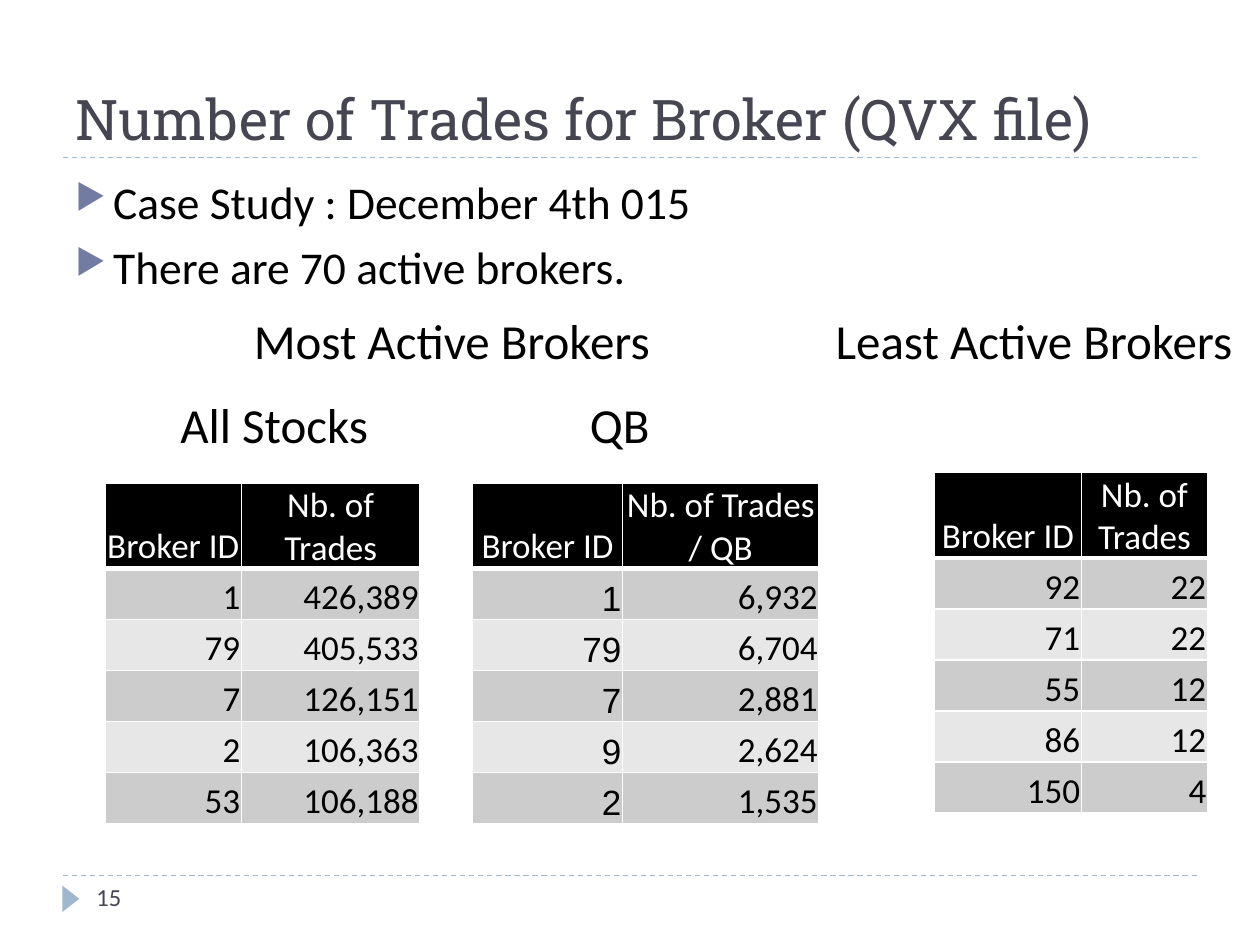
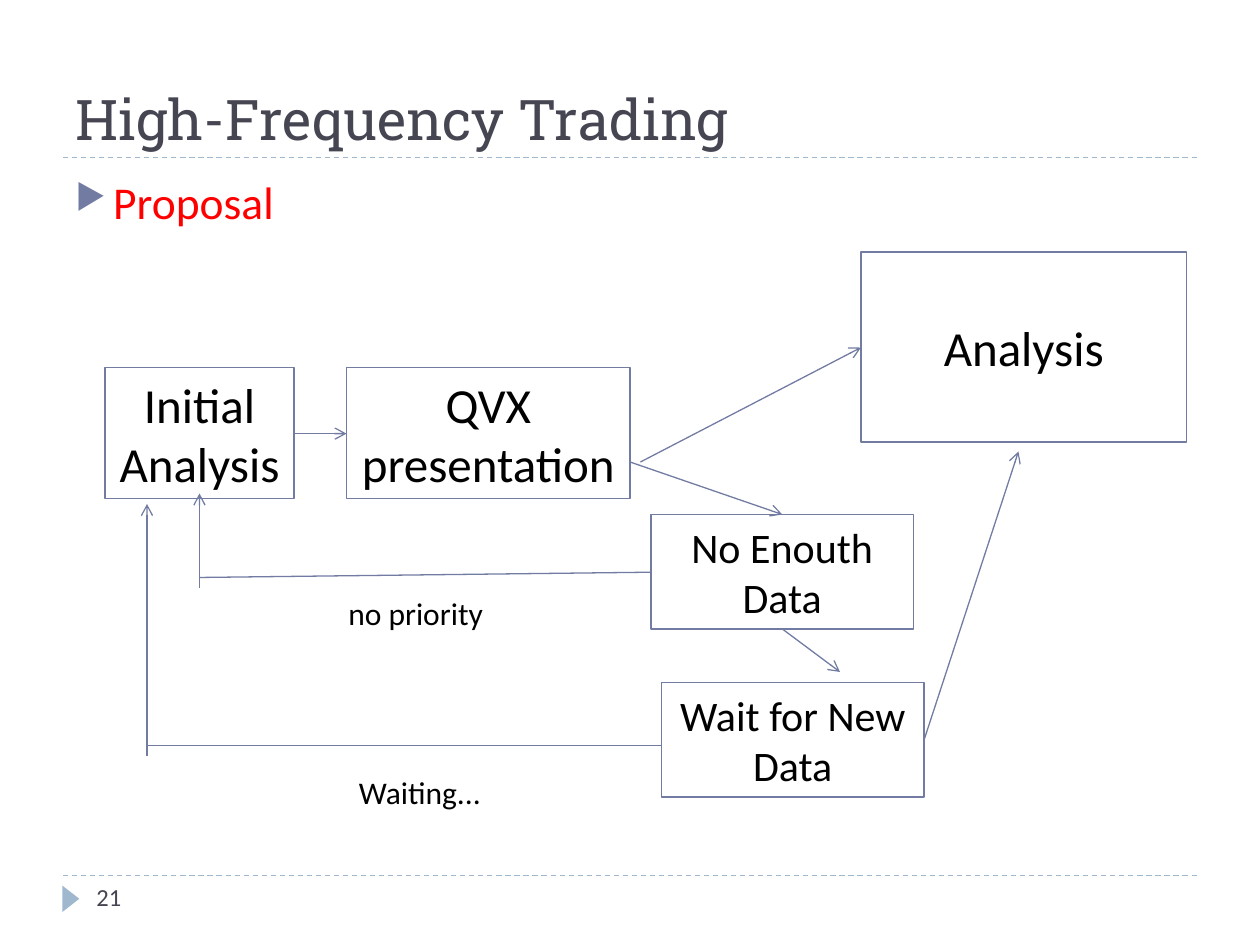
from dataclasses import dataclass
from pptx import Presentation
from pptx.dml.color import RGBColor
from pptx.enum.dml import MSO_LINE
from pptx.enum.shapes import MSO_CONNECTOR, MSO_SHAPE
from pptx.enum.text import MSO_ANCHOR, PP_ALIGN
from pptx.oxml import parse_xml
from pptx.oxml.ns import nsdecls, qn
from pptx.util import Inches, Pt

COLS, ROWS = 120, 90  # grid cells across and down a slide


@dataclass(frozen=True)
class Theme:
    """Colours, fonts and type sizes of the deck."""
    ink: str = "000000"
    paper: str = "FFFFFF"
    slate: str = "464653"
    rule: str = "9FB8CD"
    accent: str = "727CA3"
    alert: str = "FF0000"
    bands: tuple = ("CCCCCC", "E7E7E7")
    head: str = "Roboto Slab"
    body: str = "Calibri"
    plain: str = "Arial"
    title: int = 32
    label: int = 28
    bullet: int = 26
    step: int = 24
    cell: int = 20
    note: int = 18
    page: int = 14
    line: float = 0.75


def add_xml(parent, tag, inner="", **attrs):
    """Append one drawing element to a parent."""
    text = "".join(f' {key}="{val}"' for key, val in attrs.items())
    parent.append(parse_xml(f"<a:{tag} {nsdecls('a')}{text}>{inner}</a:{tag}>"))


class Deck:
    """Holds the style and the current slide."""

    def __init__(self, theme):
        """Start an empty deck."""
        self.theme = theme
        self.file = Presentation()
        self.file.slide_width, self.file.slide_height = Inches(10), Inches(7.5)
        self.slide = None

    def place(self, *cells):
        """Turn x, y, x, y ... grid cells into lengths."""
        units = self.file.slide_width / COLS, self.file.slide_height / ROWS
        return [round(val * units[i % 2]) for i, val in enumerate(cells)]

    def style(self, frame, size, color, font=None, align=PP_ALIGN.LEFT):
        """Format every run in a text frame."""
        for para in frame.paragraphs:
            para.alignment = align
            for run in para.runs:
                run.font.size, run.font.bold = Pt(size), False
                run.font.name = font or self.theme.body
                run.font.color.rgb = RGBColor.from_string(color)

    def page(self, title, number):
        """Add a slide with its title, rules and page mark."""
        look = self.theme
        self.slide = self.file.slides.add_slide(self.file.slide_layouts[6])
        for row in (83.4, 15):
            self.line((6, row), (114, row), look.rule, dash=True)
        mark = self.shape(MSO_SHAPE.ISOSCELES_TRIANGLE, (5.5, 84.8, 2.5, 1.6))
        mark.rotation = 90
        mark.fill.solid()
        mark.fill.fore_color.rgb = RGBColor.from_string(look.rule)
        mark.line.fill.background()
        self.text(title, (6, 2, 108, 13), look.title, look.slate, look.head,
                  MSO_ANCHOR.BOTTOM)
        self.text(number, (8, 83.4, 26, 4.8), look.page, look.slate)

    def text(self, words, area, size, color=None, font=None,
             anchor=MSO_ANCHOR.TOP):
        """Add a text box and return its frame."""
        frame = self.slide.shapes.add_textbox(*self.place(*area)).text_frame
        frame.word_wrap, frame.vertical_anchor = True, anchor
        frame.text = words
        self.style(frame, size, color or self.theme.ink, font)
        return frame

    def bullets(self, items, area, color=None):
        """Add a list with triangle bullets."""
        frame = self.text("\n".join(items), area, self.theme.bullet, color)
        for para in frame.paragraphs:
            para.space_before = Pt(6)
            props = para._p.get_or_add_pPr()
            props.set("marL", str(Inches(0.3)))
            props.set("indent", str(-Inches(0.3)))
            add_xml(props, "buClr", f'<a:srgbClr val="{self.theme.accent}"/>')
            add_xml(props, "buSzPct", val=76000)
            add_xml(props, "buChar", char="▶")

    def shape(self, kind, area):
        """Add a preset shape without shadow."""
        item = self.slide.shapes.add_shape(kind, *self.place(*area))
        item.shadow.inherit = False
        return item

    def box(self, words, area, size):
        """Add an outlined box with centred text."""
        item = self.shape(MSO_SHAPE.RECTANGLE, area)
        item.fill.background()
        item.line.color.rgb = RGBColor.from_string(self.theme.accent)
        item.line.width = Pt(self.theme.line)
        frame = item.text_frame
        frame.word_wrap, frame.vertical_anchor = True, MSO_ANCHOR.MIDDLE
        frame.text = words
        self.style(frame, size, self.theme.ink, align=PP_ALIGN.CENTER)

    def line(self, start, end, color=None, dash=False, arrow=False):
        """Add a straight line, dashed or with an arrowhead."""
        item = self.slide.shapes.add_connector(
            MSO_CONNECTOR.STRAIGHT, *self.place(*start, *end))
        item.line.color.rgb = RGBColor.from_string(color or self.theme.accent)
        item.line.width = Pt(self.theme.line)
        if dash:
            item.line.dash_style = MSO_LINE.DASH
        props = item._element.spPr
        if arrow:
            add_xml(props.find(qn("a:ln")), "tailEnd", type="arrow")
        add_xml(props, "effectLst")

    def table(self, spot, widths, heads, rows, font=None):
        """Add a banded table; font sets the first column's figures."""
        look, tall = self.theme, 32.4
        grid = self.slide.shapes.add_table(
            len(rows) + 1, len(widths),
            *self.place(*spot, sum(widths), tall)).table
        grid.horz_banding = False
        for col, width in zip(grid.columns, widths):
            col.width = self.place(width)[0]
        for i, row in enumerate([heads, *rows]):
            share = 0.25 if i == 0 else 0.75 / len(rows)
            grid.rows[i].height = self.place(0, tall * share)[1]
            for j, words in enumerate(row):
                cell = grid.cell(i, j)
                cell.text = words
                if i == 0:
                    self.style(cell.text_frame, look.cell, look.paper,
                               align=PP_ALIGN.CENTER)
                    self.finish(cell, look.ink, 3)
                else:
                    self.style(cell.text_frame, look.cell, look.ink,
                               font if j == 0 else None, PP_ALIGN.RIGHT)
                    self.finish(cell, look.bands[(i - 1) % 2], 1)

    def finish(self, cell, color, base):
        """Set a cell's margins, borders and fill."""
        cell.vertical_anchor = MSO_ANCHOR.BOTTOM
        cell.margin_left = cell.margin_right = cell.margin_top = Inches(0.01)
        cell.margin_bottom = 0
        ink = f'<a:solidFill><a:srgbClr val="{self.theme.paper}"/></a:solidFill>'
        for side, width in zip("LRTB", (1, 1, 1, base)):
            add_xml(cell._tc.get_or_add_tcPr(), f"ln{side}", ink, w=Pt(width))
        cell.fill.solid()
        cell.fill.fore_color.rgb = RGBColor.from_string(color)


def trades(deck):
    """Build the slide with the broker tables."""
    look = deck.theme
    deck.page("Number of Trades for Broker (QVX file)", "15")
    deck.bullets(["Case Study : December 4th 015",
                  "There are 70 active brokers."], (6, 16, 108, 13))
    for words, area in (("Most Active Brokers", (23, 29, 41.3, 6.8)),
                        ("Least Active Brokers", (78.4, 29, 41.6, 6.8)),
                        ("All Stocks", (16, 37, 22, 6.8)),
                        ("QB", (55, 37, 12, 6.8))):
        deck.text(words, area, look.label)
    deck.table((10, 46), (13, 17), ("Broker ID", "Nb. of Trades"),
               [("1", "426,389"), ("79", "405,533"), ("7", "126,151"),
                ("2", "106,363"), ("53", "106,188")])
    deck.table((45, 46), (14.3, 18.7), ("Broker ID", "Nb. of Trades / QB"),
               [("1", "6,932"), ("79", "6,704"), ("7", "2,881"),
                ("9", "2,624"), ("2", "1,535")], look.plain)
    deck.table((89, 45), (14, 12), ("Broker ID", "Nb. of Trades"),
               [("92", "22"), ("71", "22"), ("55", "12"),
                ("86", "12"), ("150", "4")])


def flow(deck):
    """Build the slide with the proposal's flow chart."""
    look = deck.theme
    deck.page("High-Frequency Trading", "21")
    deck.bullets(["Proposal"], (6, 16, 108, 7), look.alert)
    for words, area, size in (
            ("Initial\nAnalysis", (10, 35, 18, 12.5), look.label),
            ("QVX presentation", (33, 35, 27, 12.5), look.label),
            ("Analysis", (82, 24, 31, 18.1), look.label),
            ("No Enouth Data", (62, 49, 25, 10.9), look.step),
            ("Wait for New Data", (63, 65, 25, 10.9), look.step)):
        deck.box(words, area, size)
    for start, end in (((28, 41.3), (33, 41.3)), ((61, 44), (82, 33.1)),
                       ((60, 44), (74.5, 49)), ((74.5, 59.9), (80, 64)),
                       ((88, 70.5), (97, 43)), ((19, 56), (19, 47)),
                       ((14, 72), (14, 48))):
        deck.line(start, end, arrow=True)
    deck.line((62, 54.5), (19, 55))
    deck.line((63, 71), (14, 71))
    deck.text("no priority", (32, 56, 18, 4.8), look.note)
    deck.text("Waiting...", (33, 73, 18, 4.8), look.note)


deck = Deck(Theme())
trades(deck)
flow(deck)
deck.file.save("out.pptx")
